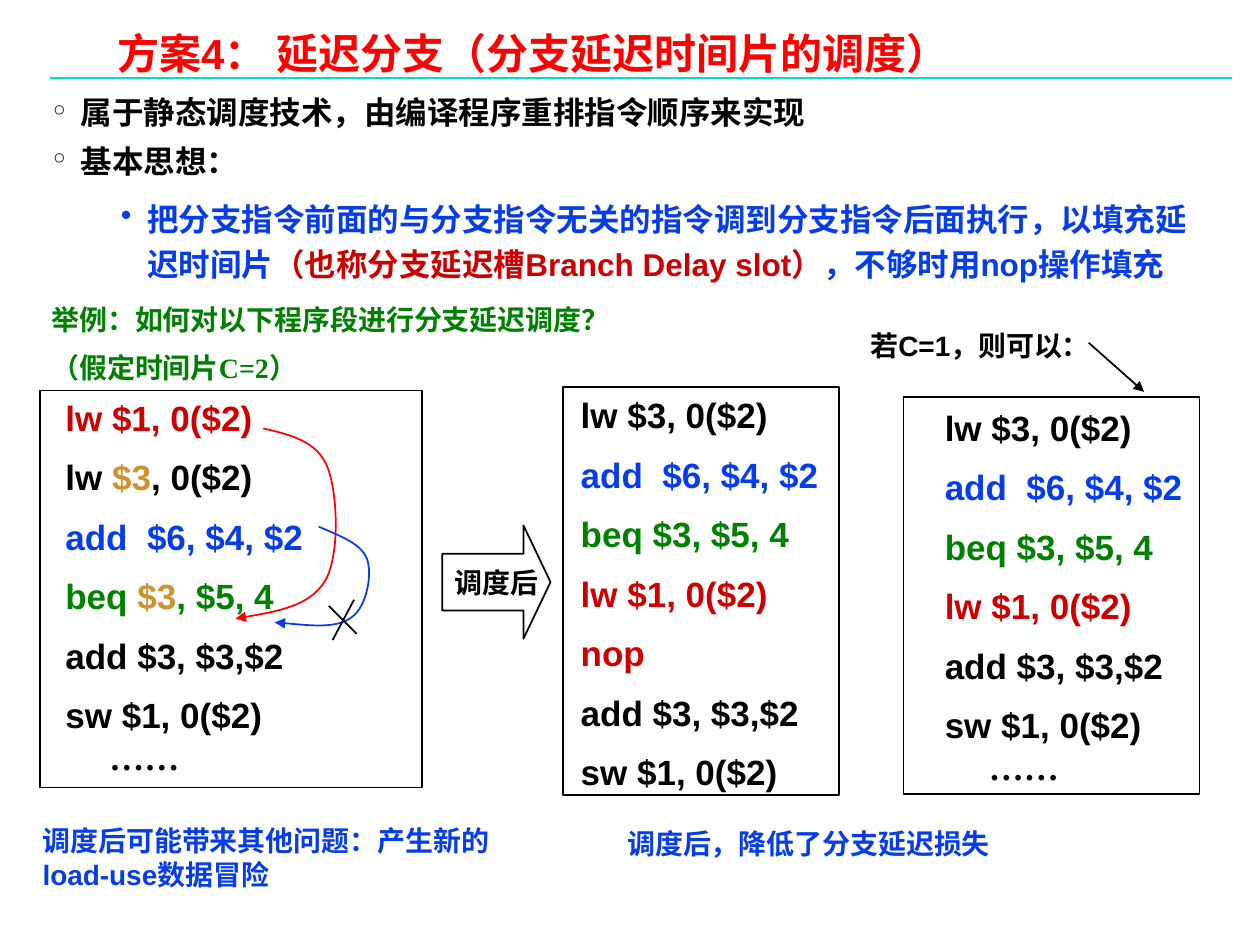
from dataclasses import dataclass

from lxml import etree
from pptx import Presentation
from pptx import util as u
from pptx.dml import color
from pptx.enum import shapes, text
from pptx.oxml import ns

COLUMNS, ROWS = 100, 75
CELL = u.Inches(0.1)
COLORS = {
    "black": "000000", "red": "FF0000", "dark_red": "CC0000", "blue": "063DE8",
    "green": "008000", "gold": "CF922F", "teal": "00DFCA",
}
SANS, SERIF = "Arial", "Times New Roman"


@dataclass
class Paragraph:
    runs: list
    before: float = 0
    spacing: float = 1.0
    margin: float = 0
    hanging: float = 0
    bullet: str = ""


LOAD_1 = [("lw $1, 0($2)", "dark_red")]
LOAD_3 = [("lw $3, 0($2)", "black")]
LOAD_3_MARKED = [("lw ", "black"), ("$3", "gold"), (", 0($2)", "black")]
ADD_6 = [("add  $6, $4, $2", "blue")]
BRANCH = [("beq $3, $5, 4", "green")]
BRANCH_MARKED = [("beq ", "green"), ("$3", "gold"), (", $5, 4", "green")]
NOP = [("nop", "dark_red")]
ADD_3 = [("add $3, $3,$2", "black")]
STORE = [("sw $1, 0($2)", "black")]

BEFORE_SCHEDULING = [LOAD_1, LOAD_3_MARKED, ADD_6, BRANCH_MARKED, ADD_3, STORE]
TWO_SLOTS = [LOAD_3, ADD_6, BRANCH, LOAD_1, NOP, ADD_3, STORE]
ONE_SLOT = [LOAD_3, ADD_6, BRANCH, LOAD_1, ADD_3, STORE]


def grid(*values):
    return [u.Emu(round(value * CELL)) for value in values]


def rgb(name):
    return color.RGBColor.from_string(COLORS[name])


def add_sub(parent, tag, **attributes):
    return etree.SubElement(parent, ns.qn(tag), **attributes)


def style_line(shape, name, arrow=False):
    shape.line.color.rgb = rgb(name)
    shape.line.width = u.Pt(1)
    if arrow:
        add_sub(shape.line._get_or_add_ln(), "a:tailEnd", type="triangle")


def add_text(slide, box, paragraphs, size, font=SANS, inset=(1, 0.5)):
    frame = slide.shapes.add_textbox(*grid(*box)).text_frame
    frame.word_wrap = True
    frame.vertical_anchor = text.MSO_ANCHOR.TOP
    frame.margin_left = frame.margin_right = grid(inset[0])[0]
    frame.margin_top = frame.margin_bottom = grid(inset[1])[0]
    for index, item in enumerate(paragraphs):
        paragraph = frame.add_paragraph() if index else frame.paragraphs[0]
        paragraph.line_spacing = item.spacing
        paragraph.space_before = u.Pt(item.before if index else 0)
        properties = paragraph._p.get_or_add_pPr()
        margin, hanging = grid(item.margin, item.hanging)
        properties.set("marL", str(margin))
        properties.set("indent", str(-hanging))
        if item.bullet:
            add_sub(properties, "a:buChar", char=item.bullet)
        for words, name, *own_font in item.runs:
            run = paragraph.add_run()
            run.text = words
            run.font.size = u.Pt(size)
            run.font.bold = True
            run.font.name = own_font[0] if own_font else font
            run.font.color.rgb = rgb(name)


def add_outline(slide, kind, box):
    shape = slide.shapes.add_shape(kind, *grid(*box))
    shape.shadow.inherit = False
    shape.fill.background()
    style_line(shape, "black")
    return shape


def add_line(slide, start, end, name="black", arrow=False):
    line = slide.shapes.add_connector(
        shapes.MSO_CONNECTOR.STRAIGHT, *grid(*start, *end))
    style_line(line, name, arrow)
    add_sub(line._element.spPr, "a:effectLst")


def add_curve(slide, points, name):
    positions = [grid(*point) for point in points]
    builder = slide.shapes.build_freeform(*positions[0])
    builder.add_line_segments(positions[1:], close=False)
    curve = builder.convert_to_shape()
    curve.shadow.inherit = False
    curve.fill.background()
    style_line(curve, name, arrow=True)
    outline = curve._element.find(".//" + ns.qn("a:path"))
    segments = outline.findall(ns.qn("a:lnTo"))
    for index in range(0, len(segments), 3):
        bezier = add_sub(outline, "a:cubicBezTo")
        for segment in segments[index:index + 3]:
            bezier.append(segment[0])
            outline.remove(segment)


def add_program(slide, text_box, frame_box, program, unfinished=False):
    lines = [Paragraph(runs, before=5.2, spacing=1.2) for runs in program]
    if unfinished:
        lines.append(Paragraph([("……", "black", SERIF)], margin=3.5))
    add_text(slide, text_box, lines, 20)
    add_outline(slide, shapes.MSO_SHAPE.RECTANGLE, frame_box)


def add_heading(slide):
    add_line(slide, (4, 6.2), (97.8, 6.2), "teal")
    title = [("方案4： 延迟分支（分支延迟时间片的调度）", "red")]
    add_text(slide, (8.6, 2.4, 75.1, 4.1), [Paragraph(title, spacing=0.87)], 24,
             inset=(0.7, 0.3))
    topics = ["属于静态调度技术，由编译程序重排指令顺序来实现", "基本思想："]
    body = [Paragraph([(topic, "black")], before=6, margin=2.2, hanging=2.2,
                      bullet="°") for topic in topics]
    idea = [
        ("把分支指令前面的与分支指令无关的指令调到分支指令后面执行，以填充延迟时间片", "blue"),
        ("（也称分支延迟槽Branch Delay slot）", "dark_red"),
        ("，不够时用nop操作填充", "blue"),
    ]
    body.append(Paragraph(idea, before=7.4, spacing=1.2, margin=7.5, hanging=2.1,
                          bullet="•"))
    add_text(slide, (3.5, 7.1, 92.2, 15.9), body, 18, inset=(0.7, 0.3))


def add_notes_around_programs(slide):
    question = ["举例：如何对以下程序段进行分支延迟调度？", "（假定时间片C=2）"]
    add_text(slide, (3.1, 23.5, 47.4, 7.7),
             [Paragraph([(words, "green")], before=8.4) for words in question],
             16, SERIF)
    problem = [("调度后可能带来其他问题：产生新的", "blue"),
               ("load-use数据", "blue", SANS), ("冒险", "blue")]
    add_text(slide, (2.4, 64.9, 41.4, 6.4), [Paragraph(problem)], 16, SERIF)
    add_text(slide, (48.8, 65.1, 41.4, 3.7),
             [Paragraph([("调度后，降低了分支延迟损失", "blue")])], 16, SERIF)
    add_text(slide, (68.1, 25.6, 20.8, 3.7),
             [Paragraph([("若C=1，则可以：", "black")])], 16)
    add_line(slide, (86.4, 27.2), (90.8, 31.1), arrow=True)


def add_moves(slide):
    add_curve(slide, [(20.9, 34), (23, 34.5), (25.2, 35), (26, 37.1),
                      (26.8, 39.1), (27, 44.1), (25.8, 46.1),
                      (24.6, 48.1), (21.6, 48.6), (18.7, 49.1)], "red")
    add_curve(slide, [(25.3, 41.8), (26.9, 42.5), (28.6, 43.1), (29.1, 44.3),
                      (29.6, 45.5), (29.1, 48.2), (27.9, 49),
                      (26.7, 49.9), (24.3, 49.6), (21.8, 49.4)], "blue")
    add_line(slide, (28.1, 47.6), (26.4, 50.8))
    add_line(slide, (26.1, 48.1), (28.3, 50.3))
    arrow = add_outline(slide, shapes.MSO_SHAPE.RIGHT_ARROW, (35.1, 41.7, 8.6, 9))
    arrow.adjustments[0] = 0.5
    arrow.adjustments[1] = 0.25
    add_text(slide, (35.1, 44.4, 9.6, 3.7),
             [Paragraph([("调度后", "black")])], 16, SERIF)


def main():
    presentation = Presentation()
    presentation.slide_width, presentation.slide_height = grid(COLUMNS, ROWS)
    slide = presentation.slides.add_slide(presentation.slide_layouts[6])
    add_heading(slide)
    add_program(slide, (74, 31.1, 26, 37), (71.7, 31.5, 23.5, 31.5), ONE_SLOT, True)
    add_program(slide, (4.2, 30.3, 21.8, 37), (3.2, 31, 30.3, 31.5),
                BEFORE_SCHEDULING, True)
    add_program(slide, (45.1, 30.1, 23.2, 33.3), (44.7, 30.7, 21.9, 32.4), TWO_SLOTS)
    add_notes_around_programs(slide)
    add_moves(slide)
    presentation.save("out.pptx")


if __name__ == "__main__":
    main()
